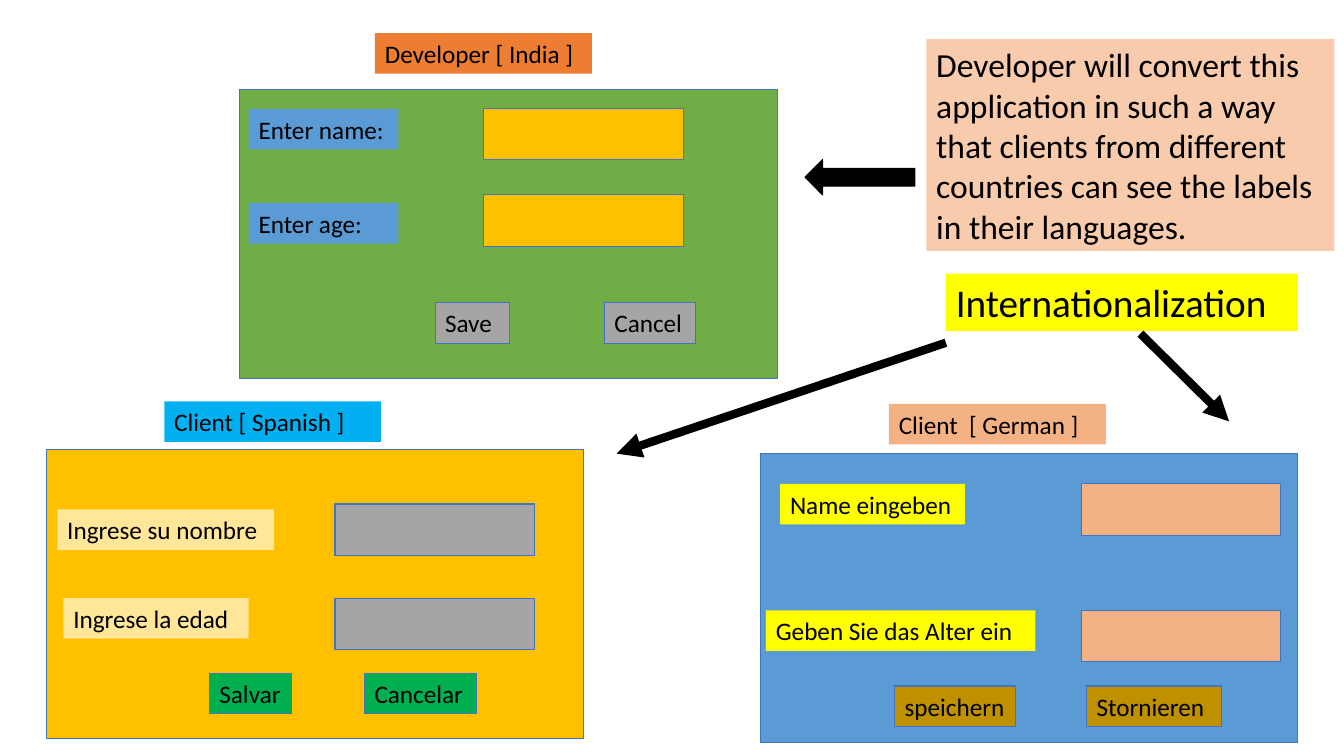
"""Build a slide showing one form internationalized for Spanish and German clients."""
from lxml.etree import SubElement
from pptx import Presentation
from pptx.dml.color import RGBColor
from pptx.enum.shapes import MSO_CONNECTOR as Connector, MSO_SHAPE as Shape
from pptx.enum.text import MSO_ANCHOR as Anchor, PP_ALIGN as Align
from pptx.oxml.ns import qn
from pptx.util import Pt

BLACK = RGBColor(0, 0, 0)
OUTLINE = RGBColor(0x44, 0x72, 0xC4)
GREEN = RGBColor(0x70, 0xAD, 0x47)
BLUE = RGBColor(0x5B, 0x9B, 0xD5)
GOLD = RGBColor(0xFF, 0xC0, 0x00)
GREY = RGBColor(0xA5, 0xA5, 0xA5)
ORANGE = RGBColor(0xED, 0x7D, 0x31)
SKY = RGBColor(0x00, 0xB0, 0xF0)
PEACH = RGBColor(0xF4, 0xB1, 0x83)
PALE_PEACH = RGBColor(0xF8, 0xCB, 0xAD)
CREAM = RGBColor(0xFF, 0xE6, 0x99)
EMERALD = RGBColor(0x00, 0xB0, 0x50)
YELLOW = RGBColor(0xFF, 0xFF, 0x00)
BRONZE = RGBColor(0xBF, 0x90, 0x00)

PANEL_WIDTH, PANEL_HEIGHT = 384, 206
FIELD_WIDTH, FIELD_HEIGHT = 142.6, 36.6
TITLE_WIDTH, LABEL_HEIGHT = 155, 29

deck = Presentation()
deck.slide_width, deck.slide_height = Pt(960.5), Pt(540)
page = deck.slides.add_slide(deck.slide_layouts[6])


def add_box(left, top, width, height, fill, line=None, kind=Shape.RECTANGLE):
    box = page.shapes.add_shape(kind, Pt(left), Pt(top), Pt(width), Pt(height))
    box.shadow.inherit = False
    box.fill.solid()
    box.fill.fore_color.rgb = fill
    if line is None:
        box.line.fill.background()
    else:
        box.line.color.rgb = line
        box.line.width = Pt(0.75)
    return box


def add_label(text, left, top, width, fill, line=None, height=LABEL_HEIGHT, size=18):
    frame = add_box(left, top, width, height, fill, line).text_frame
    frame.word_wrap = True
    frame.vertical_anchor = Anchor.TOP
    frame.margin_left, frame.margin_right = Pt(7.2), Pt(3.6)
    frame.margin_top = frame.margin_bottom = Pt(3.6)
    frame.text = text
    para = frame.paragraphs[0]
    para.alignment = Align.LEFT
    para.font.name = "Calibri"
    para.font.size = Pt(size)
    para.font.color.rgb = BLACK


forms = [
    {
        "panel": (171.4, 64.2, GREEN),
        "title": ("Developer [ India ]", 268, 23.7, ORANGE),
        "labels": [("Enter name:", 177.7, 77.8, 107), ("Enter age:", 177.7, 145, 107)],
        "label fill": BLUE,
        "fields": (345.6, [77.6, 139.2], GOLD),
        "buttons": [("Save", 311, 53), ("Cancel", 432, 65)],
        "button style": (216.2, GREY),
    },
    {
        "panel": (33.1, 321.4, GOLD),
        "title": ("Client [ Spanish ]", 117.4, 286.6, SKY),
        "labels": [("Ingrese su nombre", 41, 363.9, 155), ("Ingrese la edad", 45.3, 427.2, 132.5)],
        "label fill": CREAM,
        "fields": (239.4, [360, 427.2], GREY),
        "buttons": [("Salvar", 149.7, 58.6), ("Cancelar", 260.6, 80)],
        "button style": (481, EMERALD),
    },
    {
        "panel": (543.6, 324.2, BLUE),
        "title": ("Client  [ German ]", 635.3, 288.5, PEACH),
        "labels": [("Name eingeben", 557.5, 345.6, 132), ("Geben Sie das Alter ein", 547.4, 436, 192.5)],
        "label fill": YELLOW,
        "fields": (772.8, [345.6, 436], PEACH),
        "buttons": [("speichern", 639.4, 86.4), ("Stornieren", 776.6, 96.6)],
        "button style": (490, BRONZE),
    },
]

for form in forms:
    left, top, fill = form["panel"]
    add_box(left, top, PANEL_WIDTH, PANEL_HEIGHT, fill, OUTLINE)
    text, left, top, fill = form["title"]
    add_label(text, left, top, TITLE_WIDTH, fill)
    for text, left, top, width in form["labels"]:
        add_label(text, left, top, width, form["label fill"])
    left, tops, fill = form["fields"]
    for top in tops:
        add_box(left, top, FIELD_WIDTH, FIELD_HEIGHT, fill, OUTLINE)
    top, fill = form["button style"]
    for text, left, width in form["buttons"]:
        add_label(text, left, top, width, fill, OUTLINE)

add_label(
    "Developer will convert this application in such a way that clients from "
    "different countries can see the labels in their languages.",
    662, 28, 291.6, PALE_PEACH, height=151.2, size=24,
)
add_box(575.3, 114, 78.5, 25.2, BLACK, BLACK, Shape.LEFT_ARROW)
add_label("Internationalization", 676, 195.4, 251.5, YELLOW, height=41.2, size=28)

for start_x, start_y, end_x, end_y in [(676, 244.8, 440.6, 324), (815, 238.3, 878.4, 301)]:
    arrow = page.shapes.add_connector(
        Connector.STRAIGHT, Pt(start_x), Pt(start_y), Pt(end_x), Pt(end_y))
    arrow.line.color.rgb = BLACK
    arrow.line.width = Pt(6)
    SubElement(arrow.line._get_or_add_ln(), qn("a:tailEnd"), type="triangle")
    SubElement(arrow._element.spPr, qn("a:effectLst"))

deck.save("out.pptx")
